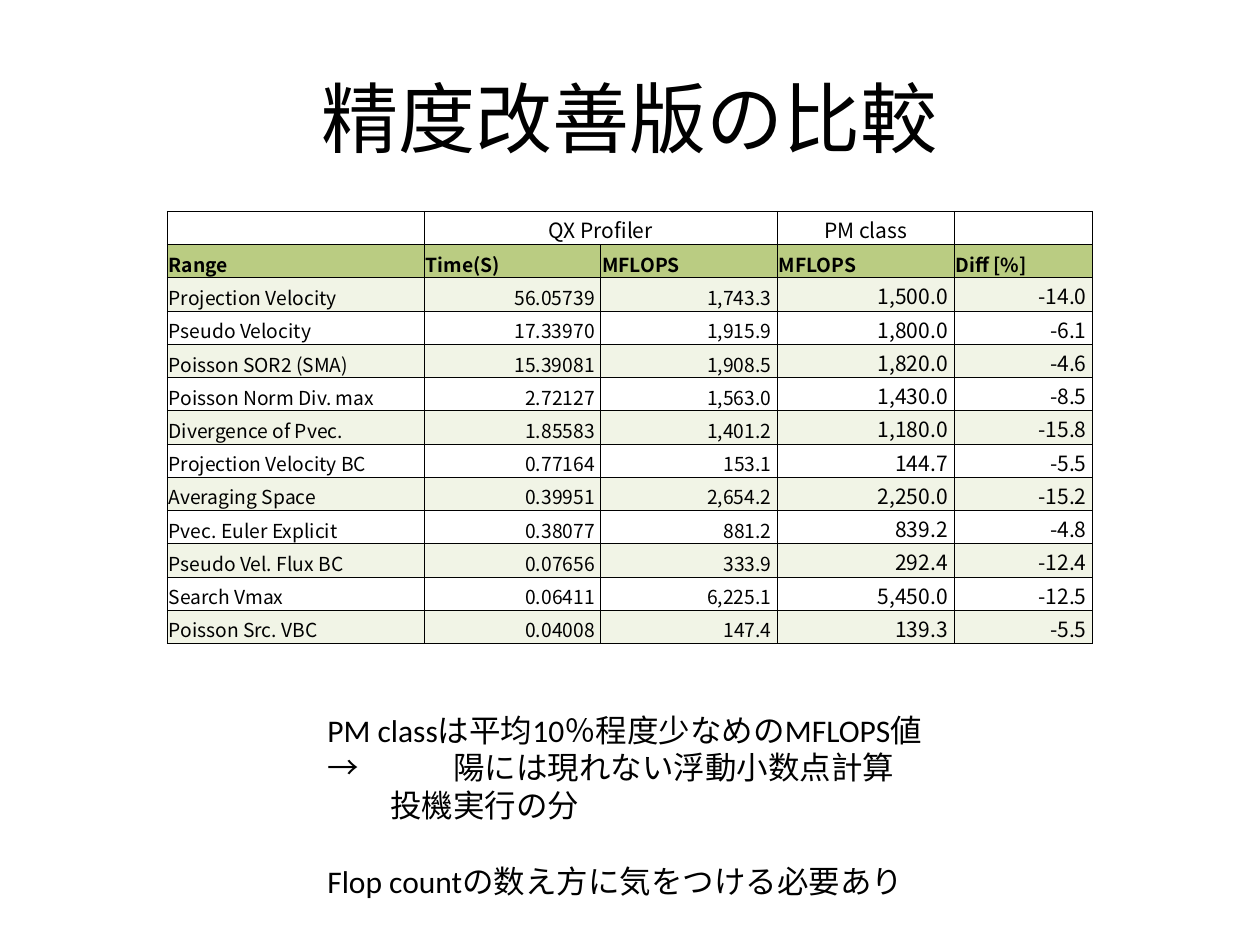
"""Build a slide comparing profiler and PM class MFLOPS figures."""
from lxml import etree
from pptx import Presentation
from pptx.dml.color import RGBColor
from pptx.enum.text import MSO_ANCHOR, PP_ALIGN
from pptx.oxml.ns import qn
from pptx.util import Cm, Pt

LEFT, CENTER, RIGHT = PP_ALIGN.LEFT, PP_ALIGN.CENTER, PP_ALIGN.RIGHT
MIDDLE, BOTTOM = MSO_ANCHOR.MIDDLE, MSO_ANCHOR.BOTTOM
COLORS = {"text": "000000", "border": "000000", "header": "BACC82", "band": "F1F4E6"}
BODY_FONT = "Calibri"
TABLE_FONT = "Noto Sans CJK JP"
COLUMN_WIDTHS = [5.18, 3.56, 3.56, 3.56, 2.8]
ROW_HEIGHT = 0.67
GROUPS = ["", "QX Profiler", "", "PM class", ""]
HEADERS = ["Range", "Time(S)", "MFLOPS", "MFLOPS", "Diff [%]"]
MEASUREMENTS = [
    ["Projection Velocity", "56.05739", "1,743.3", "1,500.0", "-14.0"],
    ["Pseudo Velocity", "17.33970", "1,915.9", "1,800.0", "-6.1"],
    ["Poisson SOR2 (SMA)", "15.39081", "1,908.5", "1,820.0", "-4.6"],
    ["Poisson Norm Div. max", "2.72127", "1,563.0", "1,430.0", "-8.5"],
    ["Divergence of Pvec.", "1.85583", "1,401.2", "1,180.0", "-15.8"],
    ["Projection Velocity BC", "0.77164", "153.1", "144.7", "-5.5"],
    ["Averaging Space", "0.39951", "2,654.2", "2,250.0", "-15.2"],
    ["Pvec. Euler Explicit", "0.38077", "881.2", "839.2", "-4.8"],
    ["Pseudo Vel. Flux BC", "0.07656", "333.9", "292.4", "-12.4"],
    ["Search Vmax", "0.06411", "6,225.1", "5,450.0", "-12.5"],
    ["Poisson Src. VBC", "0.04008", "147.4", "139.3", "-5.5"],
]
NOTES = [
    "PM classは平均10％程度少なめのMFLOPS値",
    "→　\t陽には現れない浮動小数点計算",
    "\t投機実行の分",
    "Flop countの数え方に気をつける必要あり",
]


def format_runs(paragraph, font_name, size, bold=False):
    for run in paragraph.runs:
        run.font.name = font_name
        run.font.size = Pt(size)
        run.font.bold = bold
        run.font.color.rgb = RGBColor.from_string(COLORS["text"])


def add_borders(cell):
    properties = cell._tc.get_or_add_tcPr()
    for index, side in enumerate(["lnL", "lnR", "lnT", "lnB"]):
        line = etree.Element(qn(f"a:{side}"), w=str(Pt(0.5)))
        fill = etree.SubElement(line, qn("a:solidFill"))
        etree.SubElement(fill, qn("a:srgbClr"), val=COLORS["border"])
        properties.insert(index, line)


presentation = Presentation()
presentation.slide_width = Cm(25.4)
presentation.slide_height = Cm(19.05)
slide = presentation.slides.add_slide(presentation.slide_layouts[5])

title = slide.shapes.title
title.left, title.top, title.width, title.height = Cm(1.27), Cm(0.76), Cm(22.86), Cm(3.18)
title.text_frame.text = "精度改善版の比較"
title.text_frame.vertical_anchor = MIDDLE
title.text_frame.paragraphs[0].alignment = CENTER
format_runs(title.text_frame.paragraphs[0], BODY_FONT, 44)

rows = [GROUPS, HEADERS] + MEASUREMENTS
table = slide.shapes.add_table(
    len(rows), len(COLUMN_WIDTHS), Cm(3.37), Cm(4.26),
    Cm(sum(COLUMN_WIDTHS)), Cm(ROW_HEIGHT * len(rows)),
).table
table.first_row = False
table.horz_banding = False
for column, width in zip(table.columns, COLUMN_WIDTHS):
    column.width = Cm(width)

for row_index, values in enumerate(rows):
    table.rows[row_index].height = Cm(ROW_HEIGHT)
    is_group, is_header = row_index == 0, row_index == 1
    for column_index, value in enumerate(values):
        is_number = row_index > 1 and column_index > 0
        cell = table.cell(row_index, column_index)
        cell.margin_left = cell.margin_right = cell.margin_top = Cm(0.03)
        cell.margin_bottom = 0
        cell.vertical_anchor = BOTTOM
        if is_header:
            cell.fill.solid()
            cell.fill.fore_color.rgb = RGBColor.from_string(COLORS["header"])
        elif not is_group and row_index % 2 == 0:
            cell.fill.solid()
            cell.fill.fore_color.rgb = RGBColor.from_string(COLORS["band"])
        else:
            cell.fill.background()
        add_borders(cell)
        paragraph = cell.text_frame.paragraphs[0]
        if not value:
            etree.SubElement(paragraph._p, qn("a:endParaRPr"), sz="1200")
            continue
        paragraph.text = f"{value} " if is_number else value
        paragraph.alignment = CENTER if is_group else RIGHT if is_number else LEFT
        size = 12 if is_group or (is_number and column_index > 2) else 11
        format_runs(paragraph, TABLE_FONT, size, is_header)
table.cell(0, 1).merge(table.cell(0, 2))

notes_box = slide.shapes.add_textbox(Cm(6.35), Cm(14.2), Cm(12.55), Cm(4.11))
notes_frame = notes_box.text_frame
notes_frame.word_wrap = True
notes_frame.text = "\n".join(NOTES)
for paragraph in notes_frame.paragraphs:
    format_runs(paragraph, BODY_FONT, 18)
notes_frame.paragraphs[-1].space_before = Pt(22)

presentation.save("out.pptx")
